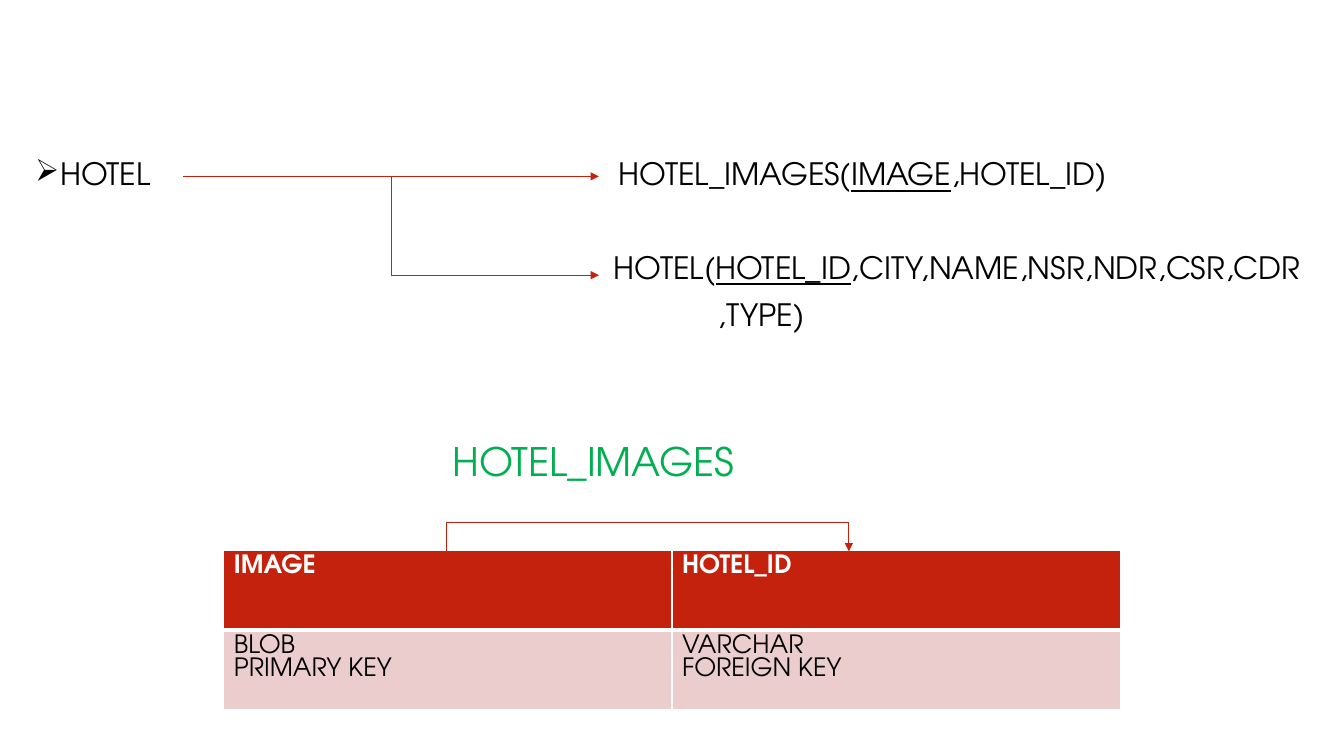
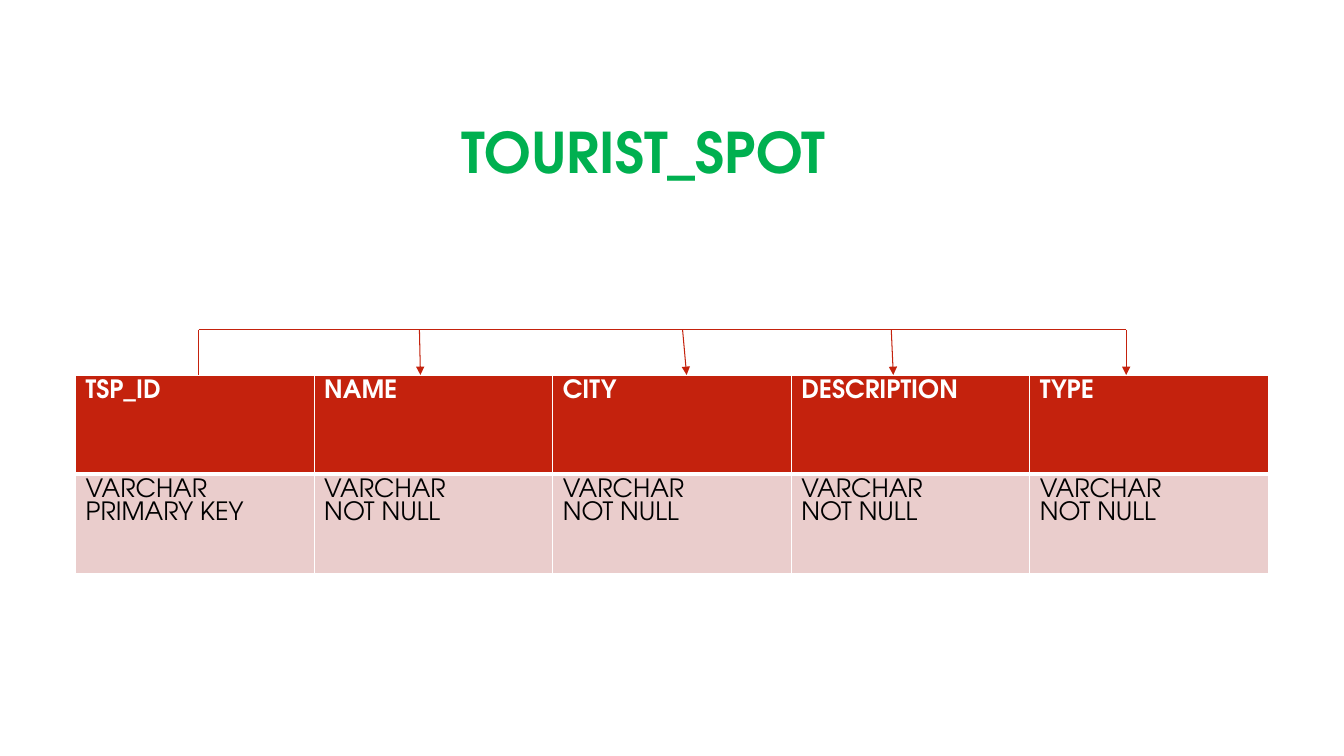
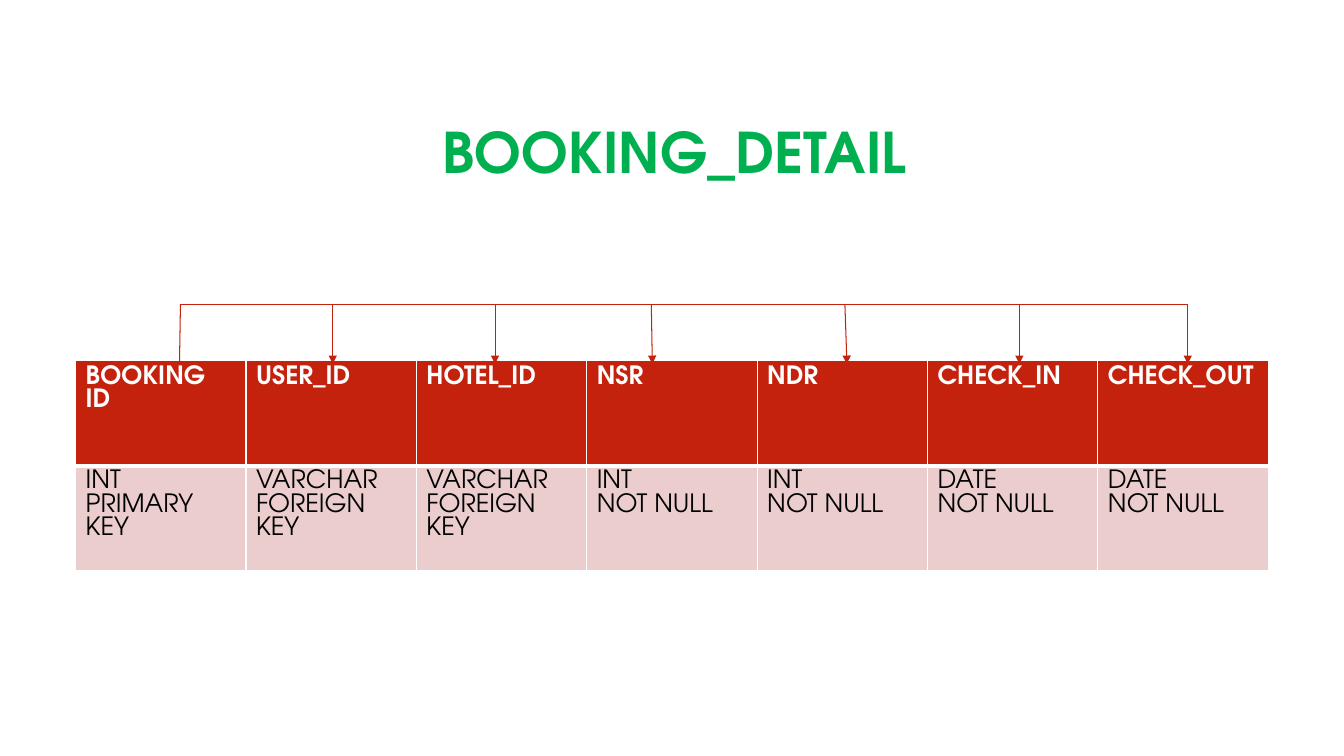
from dataclasses import dataclass

from lxml import etree
from pptx import Presentation
from pptx.dml.color import RGBColor
from pptx.enum.shapes import MSO_CONNECTOR
from pptx.enum.text import MSO_ANCHOR, PP_ALIGN
from pptx.oxml.ns import qn
from pptx.util import Inches, Pt

STRAIGHT, ELBOW = MSO_CONNECTOR.STRAIGHT, MSO_CONNECTOR.ELBOW
RIGHT, MIDDLE = PP_ALIGN.RIGHT, MSO_ANCHOR.MIDDLE


@dataclass(frozen=True)
class Theme:
    font: str = "TeX Gyre Adventor"
    red: str = "C4220D"
    pink: str = "EACDCC"
    green: str = "00B050"
    black: str = "000000"
    white: str = "FFFFFF"
    title: int = 40
    heading: int = 28
    body: int = 22
    cell: int = 18
    cell_line: float = 16.5
    line_spacing: float = 0.9
    space_before: int = 10
    rule: float = 0.75


T = Theme()

# Each paragraph is a list of (text, underlined) runs.
SOURCE = [[("HOTEL", False)]]
IMAGES_RELATION = [[("HOTEL_IMAGES(", False), ("IMAGE", True), (",HOTEL_ID)", False)]]
HOTEL_RELATION = [
    [("HOTEL(", False), ("HOTEL_ID", True), (",CITY,NAME,NSR,NDR,CSR,CDR", False)],
    [(",TYPE)", False)],
]

# Drops are (x on the bar, x on the table); the first drop is the key column.
IMAGES_TABLE = dict(
    at=(2.22, 5.46, 8.89, 1.58),
    columns=[("IMAGE", "BLOB\nPRIMARY KEY"), ("HOTEL_ID", "VARCHAR\nFOREIGN KEY")],
    bar=5.18, foot=5.47, drops=[(4.43, 4.43), (8.42, 8.42)],
)
SPOT_TABLE = dict(
    at=(0.75, 3.72, 11.83, 1.97),
    columns=[("TSP_ID", "VARCHAR\nPRIMARY KEY")]
    + [(name, "VARCHAR\nNOT NULL") for name in ("NAME", "CITY", "DESCRIPTION", "TYPE")],
    bar=3.27, foot=3.72,
    drops=[(1.97, 1.97), (4.16, 4.17), (6.77, 6.81), (8.84, 8.86), (11.17, 11.17)],
)
BOOKING_TABLE = dict(
    at=(0.75, 3.58, 11.83, 2.08),
    columns=[
        ("BOOKING\nID", "INT\nPRIMARY\nKEY"),
        ("USER_ID", "VARCHAR\nFOREIGN\nKEY"),
        ("HOTEL_ID", "VARCHAR\nFOREIGN\nKEY"),
        ("NSR", "INT\nNOT NULL"),
        ("NDR", "INT\nNOT NULL"),
        ("CHECK_IN", "DATE\nNOT NULL"),
        ("CHECK_OUT", "DATE\nNOT NULL"),
    ],
    bar=3.02, foot=3.61,
    drops=[(1.79, 1.78), (3.3, 3.3), (4.91, 4.91), (6.46, 6.47),
           (8.38, 8.4), (10.11, 10.11), (11.78, 11.78)],
)
TITLED_TABLES = [
    ("TOURIST_SPOT", 5.11, SPOT_TABLE),
    ("BOOKING_DETAIL", 5.92, BOOKING_TABLE),
]


def style(font, size, color, bold=False):
    font.name, font.size, font.bold = T.font, Pt(size), bold
    font.color.rgb = RGBColor.from_string(color)


def add_text(slide, at, paragraphs, size=T.body, color=T.black, bold=False):
    tf = slide.shapes.add_textbox(*map(Inches, at)).text_frame
    tf.word_wrap = True
    for i, runs in enumerate(paragraphs):
        p = tf.add_paragraph() if i else tf.paragraphs[0]
        p.line_spacing = T.line_spacing
        if i:
            p.space_before = Pt(T.space_before)
        for text, underlined in runs:
            r = p.add_run()
            r.text = text
            style(r.font, size, color, bold)
            r.font.underline = underlined
    return tf


def set_indent(p, left, first=0.0, bullet=None):
    pPr = p._p.get_or_add_pPr()
    pPr.set("marL", str(Inches(left)))
    pPr.set("indent", str(Inches(first)))
    if bullet:
        etree.SubElement(pPr, qn("a:buChar")).set("char", bullet)


def add_line(slide, x1, y1, x2, y2, arrow=False, kind=STRAIGHT):
    line = slide.shapes.add_connector(kind, *map(Inches, (x1, y1, x2, y2)))
    line.line.color.rgb = RGBColor.from_string(T.red)
    line.line.width = Pt(T.rule)
    if arrow:
        etree.SubElement(line.line._get_or_add_ln(), qn("a:tailEnd")).set("type", "triangle")
    etree.SubElement(line._element.spPr, qn("a:effectLst"))


def set_borders(cell, bottom):
    tcPr = cell._tc.get_or_add_tcPr()
    for side, width in (("L", 1), ("R", 1), ("T", 1), ("B", bottom)):
        ln = etree.SubElement(tcPr, qn("a:ln" + side), w=str(Pt(width)))
        fill = etree.SubElement(ln, qn("a:solidFill"))
        etree.SubElement(fill, qn("a:srgbClr"), val=T.white)


def fill_cell(cell, text, header):
    set_borders(cell, 3 if header else 1)
    cell.fill.solid()
    cell.fill.fore_color.rgb = RGBColor.from_string(T.red if header else T.pink)
    cell.text_frame.text = text
    for p in cell.text_frame.paragraphs:
        p.line_spacing = Pt(T.cell_line)
        style(p.runs[0].font, T.cell, T.white if header else T.black, header)


def add_schema(slide, at, columns, bar, foot, drops):
    """Table of column names and types, with a bracket from the key to the rest."""
    table = slide.shapes.add_table(2, len(columns), *map(Inches, at)).table
    for c, column in enumerate(columns):
        for r, text in enumerate(column):
            fill_cell(table.cell(r, c), text, header=r == 0)
    add_line(slide, drops[0][0], bar, drops[-1][0], bar)
    for i, (top_x, foot_x) in enumerate(drops):
        add_line(slide, top_x, bar, foot_x, foot, arrow=i > 0)


def add_title(slide, text, width):
    tf = add_text(slide, (3.17, 0.84, width, 1.41), [[(text, False)]],
                  T.title, T.green, bold=True)
    tf.vertical_anchor = MIDDLE
    tf.paragraphs[0].alignment = RIGHT


def add_hotel_slide(slide):
    source = add_text(slide, (0.25, 1.53, 1.5, 0.45), SOURCE)
    set_indent(source.paragraphs[0], 0.25, -0.25, "➢")
    add_text(slide, (6.04, 1.53, 7.14, 0.45), IMAGES_RELATION)
    hotel = add_text(slide, (5.99, 2.46, 7.19, 0.9), HOTEL_RELATION)
    set_indent(hotel.paragraphs[1], 1.03)
    add_text(slide, (4.39, 4.34, 4, 0.55), [[("HOTEL_IMAGES", False)]],
             T.heading, T.green)
    add_line(slide, 1.82, 1.75, 5.94, 1.75, arrow=True)
    add_line(slide, 1.82, 1.75, 5.94, 2.73, arrow=True, kind=ELBOW)
    add_schema(slide, **IMAGES_TABLE)


def main():
    prs = Presentation()
    prs.slide_width, prs.slide_height = Inches(13.33), Inches(7.5)
    blank = prs.slide_layouts[6]
    add_hotel_slide(prs.slides.add_slide(blank))
    for title, width, schema in TITLED_TABLES:
        slide = prs.slides.add_slide(blank)
        add_title(slide, title, width)
        add_schema(slide, **schema)
    prs.save("out.pptx")


if __name__ == "__main__":
    main()
